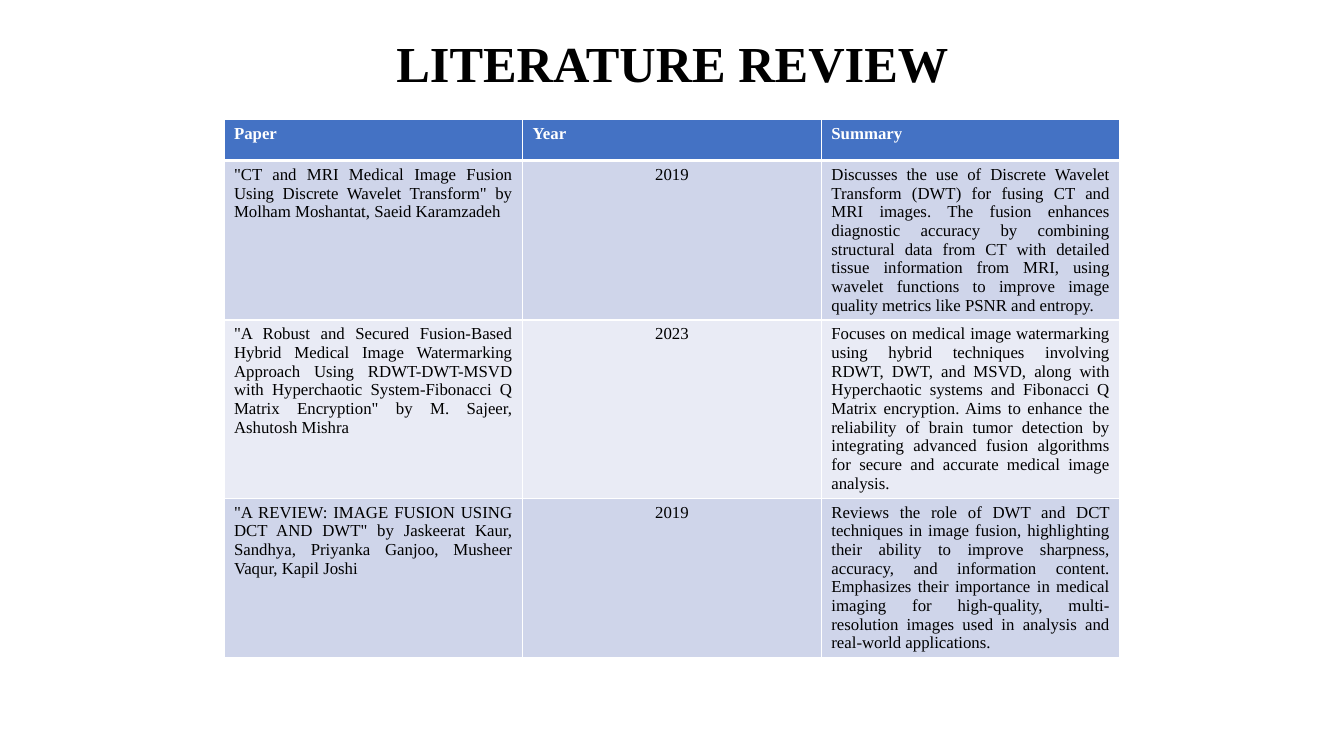
from lxml import etree
from pptx import Presentation
from pptx import util as u
from pptx.dml.color import RGBColor
from pptx.enum import text
from pptx.oxml import ns

BLACK = RGBColor(0x00, 0x00, 0x00)
WHITE = RGBColor(0xFF, 0xFF, 0xFF)
HEADER_BLUE = RGBColor(0x44, 0x72, 0xC4)
BAND_DARK = RGBColor(0xCF, 0xD5, 0xEA)
BAND_LIGHT = RGBColor(0xE9, 0xEB, 0xF5)

HEADINGS = ("Paper", "Year", "Summary")
PAPERS = (
    ('"CT and MRI Medical Image Fusion Using Discrete Wavelet Transform" '
     'by Molham Moshantat, Saeid Karamzadeh',
     "2019",
     "Discusses the use of Discrete Wavelet Transform (DWT) for fusing CT and "
     "MRI images. The fusion enhances diagnostic accuracy by combining "
     "structural data from CT with detailed tissue information from MRI, using "
     "wavelet functions to improve image quality metrics like PSNR and entropy."),
    ('"A Robust and Secured Fusion-Based Hybrid Medical Image Watermarking '
     'Approach Using RDWT-DWT-MSVD with Hyperchaotic System-Fibonacci Q Matrix '
     'Encryption" by M. Sajeer, Ashutosh Mishra',
     "2023",
     "Focuses on medical image watermarking using hybrid techniques involving "
     "RDWT, DWT, and MSVD, along with Hyperchaotic systems and Fibonacci Q "
     "Matrix encryption. Aims to enhance the reliability of brain tumor "
     "detection by integrating advanced fusion algorithms for secure and "
     "accurate medical image analysis."),
    ('"A REVIEW: IMAGE FUSION USING DCT AND DWT" by Jaskeerat Kaur, Sandhya, '
     'Priyanka Ganjoo, Musheer Vaqur, Kapil Joshi',
     "2019",
     "Reviews the role of DWT and DCT techniques in image fusion, highlighting "
     "their ability to improve sharpness, accuracy, and information content. "
     "Emphasizes their importance in medical imaging for high-quality, "
     "multi-resolution images used in analysis and real-world applications."),
)


class SlideBuilder:
    """Holds the style and the current slide; lengths are grid units."""

    FONT = "Times New Roman"
    COLUMN = u.Inches(13.33) // 12
    ROW = u.Inches(7.5) // 12

    def __init__(self, presentation):
        presentation.slide_width = u.Inches(13.33)
        presentation.slide_height = u.Inches(7.5)
        self.slide = presentation.slides.add_slide(presentation.slide_layouts[5])

    def box(self, left, top, width, height):
        return (int(left * self.COLUMN), int(top * self.ROW),
                int(width * self.COLUMN), int(height * self.ROW))

    def format(self, paragraph, size, color, bold, alignment):
        paragraph.alignment = alignment
        font = paragraph.font
        font.name, font.size, font.bold = self.FONT, u.Pt(size), bold
        font.color.rgb = color

    def title(self, words, *place):
        shape = self.slide.shapes.title
        shape.left, shape.top, shape.width, shape.height = self.box(*place)
        frame = shape.text_frame
        frame.text = words
        frame.vertical_anchor = text.MSO_ANCHOR.TOP
        frame.margin_top = u.Inches(0.11)
        paragraph = frame.paragraphs[0]
        paragraph.line_spacing = 0.9
        self.format(paragraph, 36, BLACK, True, text.PP_ALIGN.CENTER)

    def borders(self, cell, **widths):
        properties = cell._tc.get_or_add_tcPr()
        for side in "LRTB":
            line = etree.SubElement(properties, ns.qn(f"a:ln{side}"),
                                    w=str(u.Pt(widths.get(side, 1))))
            fill = etree.SubElement(line, ns.qn("a:solidFill"))
            etree.SubElement(fill, ns.qn("a:srgbClr"), val=str(WHITE))

    def table(self, headings, records, heights, *place):
        rows = (headings, *records)
        frame = self.slide.shapes.add_table(len(rows), len(headings),
                                            *self.box(*place))
        table = frame.table
        for r, (values, height) in enumerate(zip(rows, heights)):
            table.rows[r].height = int(height * self.ROW)
            is_header = r == 0
            band = BAND_DARK if r % 2 else BAND_LIGHT
            for c, value in enumerate(values):
                cell = table.cell(r, c)
                self.borders(cell, B=3 if is_header else 1, T=3 if r == 1 else 1)
                cell.fill.solid()
                cell.fill.fore_color.rgb = HEADER_BLUE if is_header else band
                cell.text = value
                centred = c == 1 and not is_header
                self.format(cell.text_frame.paragraphs[0], 12,
                            WHITE if is_header else BLACK, is_header,
                            text.PP_ALIGN.CENTER if centred
                            else text.PP_ALIGN.JUSTIFY)


def main():
    presentation = Presentation()
    builder = SlideBuilder(presentation)

    # Heading
    builder.title("LITERATURE REVIEW", 0.83, 0.45, 10.35, 2.32)

    # Reviewed papers
    row_heights = (0.65, 2.53, 2.83, 2.53)
    builder.table(HEADINGS, PAPERS, row_heights, 2, 1.9, 8, sum(row_heights))

    presentation.save("out.pptx")


if __name__ == "__main__":
    main()
